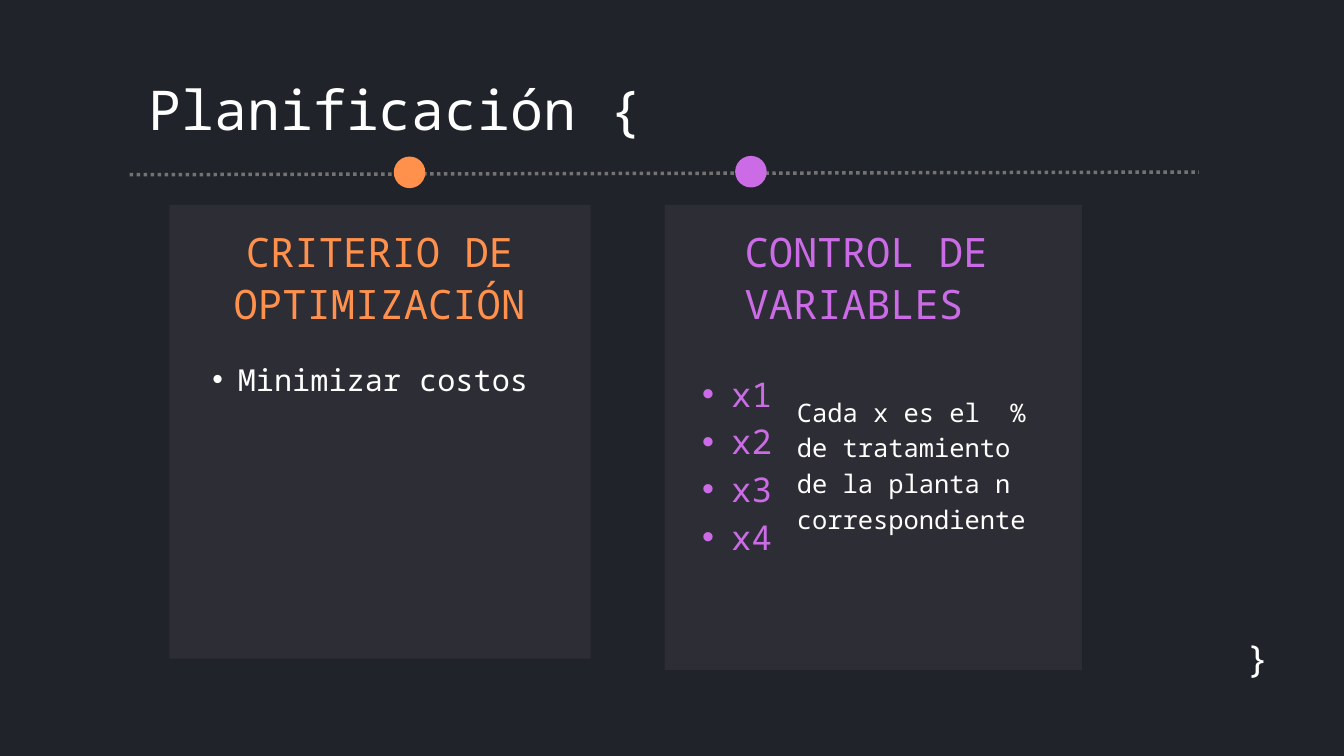
from lxml import etree
from pptx import Presentation
from pptx.dml.color import RGBColor
from pptx.enum.dml import MSO_LINE
from pptx.enum.shapes import MSO_CONNECTOR, MSO_SHAPE
from pptx.enum.text import PP_ALIGN
from pptx.oxml.ns import qn
from pptx.util import Inches, Pt

RECTANGLE, OVAL = MSO_SHAPE.RECTANGLE, MSO_SHAPE.OVAL
STRAIGHT = MSO_CONNECTOR.STRAIGHT
DOTTED = MSO_LINE.ROUND_DOT
LEFT, CENTER, RIGHT = PP_ALIGN.LEFT, PP_ALIGN.CENTER, PP_ALIGN.RIGHT

NIGHT = RGBColor(0x20, 0x23, 0x2A)
PANEL = RGBColor(0x2D, 0x2D, 0x35)
GREY = RGBColor(0x73, 0x73, 0x73)
ORANGE = RGBColor(0xFF, 0x91, 0x4D)
PURPLE = RGBColor(0xCB, 0x6C, 0xE6)
WHITE = RGBColor(0xFF, 0xFF, 0xFF)
FONT = "Noto Sans Mono"

deck = Presentation()
deck.slide_width, deck.slide_height = Inches(20), Inches(11.25)
page = deck.slides.add_slide(deck.slide_layouts[6])
page.background.fill.solid()
page.background.fill.fore_color.rgb = NIGHT


def add_block(kind, left, top, width, height, color):
    block = page.shapes.add_shape(
        kind, Inches(left), Inches(top), Inches(width), Inches(height))
    block.shadow.inherit = False
    block.fill.solid()
    block.fill.fore_color.rgb = color
    block.line.fill.background()


def add_text(left, top, width, height, lines, size, spacing, color,
             align=LEFT, indent=None):
    """Write one paragraph per line; an indent makes them bulleted."""
    box = page.shapes.add_textbox(
        Inches(left), Inches(top), Inches(width), Inches(height))
    frame = box.text_frame
    frame.word_wrap = True
    frame.margin_left = frame.margin_right = 0
    frame.margin_top = frame.margin_bottom = 0
    for number, line in enumerate(lines):
        para = frame.add_paragraph() if number else frame.paragraphs[0]
        para.alignment = align
        para.line_spacing = Pt(spacing)
        if indent:
            props = para._p.get_or_add_pPr()
            props.set("marL", str(Inches(2 * indent)))
            props.set("indent", str(-Inches(indent)))
            etree.SubElement(props, qn("a:buFont")).set("typeface", "Arial")
            etree.SubElement(props, qn("a:buChar")).set("char", "•")
        span = para.add_run()
        span.text = line
        span.font.name = FONT
        span.font.size = Pt(size)
        span.font.color.rgb = color


# Panels
add_block(RECTANGLE, 2.52, 3.05, 6.27, 6.75, PANEL)
add_block(RECTANGLE, 9.89, 3.05, 6.21, 6.92, PANEL)

# Dotted timeline with its two markers
timeline = page.shapes.add_connector(
    STRAIGHT, Inches(1.93), Inches(2.6), Inches(17.84), Inches(2.56))
timeline.line.color.rgb = GREY
timeline.line.width = Pt(3.75)
timeline.line.dash_style = DOTTED
etree.SubElement(timeline._element.spPr, qn("a:effectLst"))
add_block(OVAL, 5.86, 2.33, 0.47, 0.47, ORANGE)
add_block(OVAL, 10.94, 2.32, 0.47, 0.47, PURPLE)

# Title and closing brace
add_text(2.21, 1.17, 11.29, 0.94, ["Planificación {"], 58.8, 67, WHITE)
add_text(18.11, 9.49, 0.77, 0.64, ["}"], 40, 45.6, WHITE, RIGHT)

# Optimization criterion
add_text(3.45, 3.34, 4.4, 1.53, ["CRITERIO DE OPTIMIZACIÓN"],
         43.4, 55.1, ORANGE, CENTER)
add_text(2.78, 5.28, 5.33, 0.61, ["Minimizar costos"],
         32.4, 45.4, WHITE, indent=0.38)

# Control variables
add_text(11.08, 3.34, 3.83, 1.53, ["CONTROL DE VARIABLES"],
         43.4, 55.1, PURPLE)
add_text(10.02, 5.45, 1.83, 2.84, [f"x{n}" for n in range(1, 5)],
         36.5, 51.2, PURPLE, indent=0.43)
add_text(11.86, 5.83, 3.66, 2.1,
         ["Cada x es el  % de tratamiento de la planta n correspondiente"],
         27.3, 38.2, WHITE)

deck.save("out.pptx")
